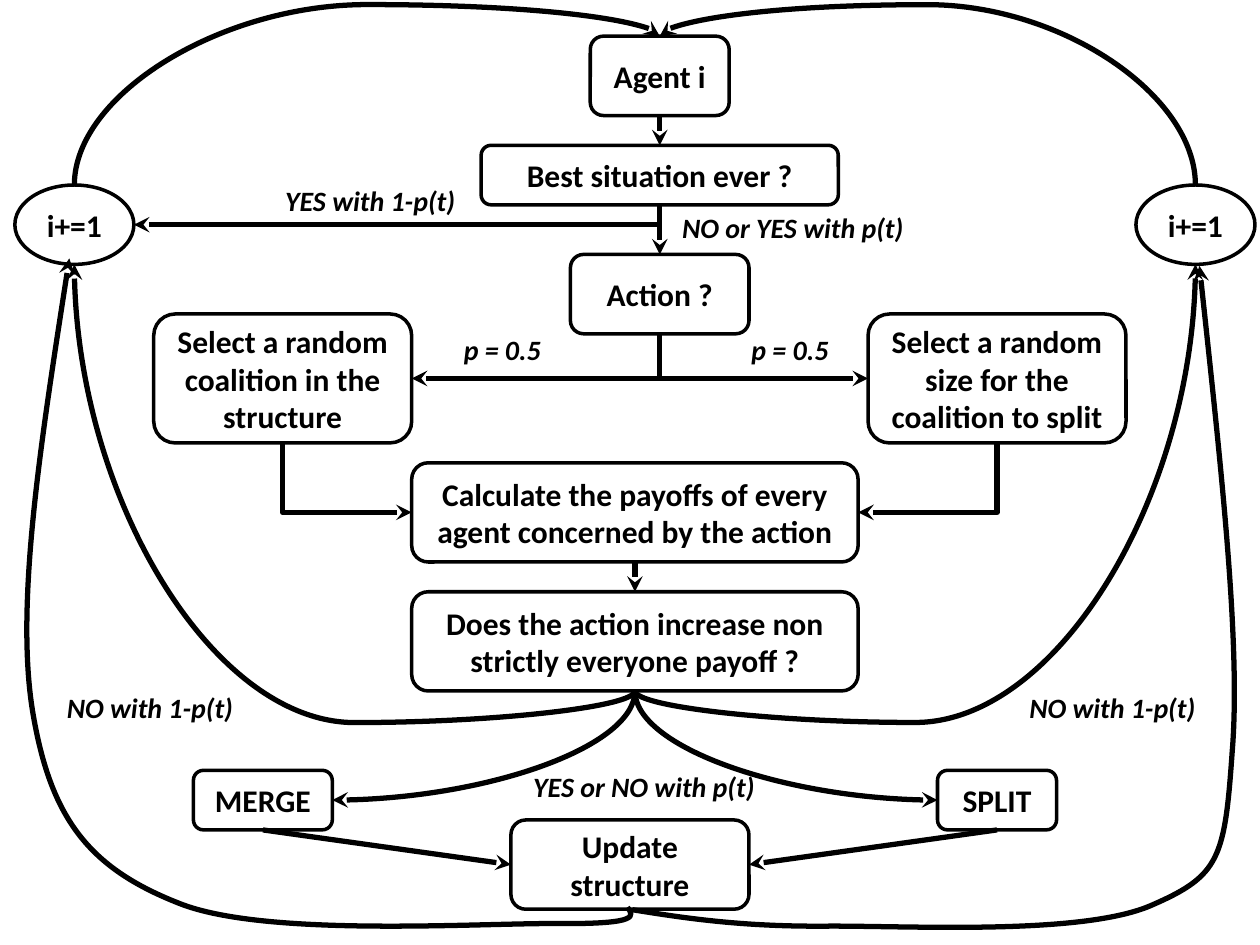
"""Build a flowchart of how agents merge or split coalitions."""
from dataclasses import dataclass
from typing import Optional

from pptx import Presentation
from pptx.dml.color import RGBColor
from pptx.enum.shapes import MSO_CONNECTOR, MSO_SHAPE
from pptx.enum.text import MSO_ANCHOR, PP_ALIGN
from pptx.oxml.ns import qn
from pptx.util import Cm, Pt

ROUNDED, OVAL = MSO_SHAPE.ROUNDED_RECTANGLE, MSO_SHAPE.OVAL
STRAIGHT, ELBOW, CURVE = MSO_CONNECTOR.STRAIGHT, MSO_CONNECTOR.ELBOW, MSO_CONNECTOR.CURVE
MIDDLE, CENTER, LEFT = MSO_ANCHOR.MIDDLE, PP_ALIGN.CENTER, PP_ALIGN.LEFT
Point = tuple[float, float]


@dataclass(frozen=True)
class Theme:
    ink: RGBColor = RGBColor(0, 0, 0)
    font: str = "Calibri"
    box_size: Pt = Pt(18)
    label_size: Pt = Pt(16)
    outline: Pt = Pt(2)
    arrow: Pt = Pt(3)


@dataclass(frozen=True)
class Box:
    text: str
    x: float
    y: float
    width: float
    height: float
    kind: int = ROUNDED

    def at(self, across: float, down: float) -> Point:
        return self.x + across * self.width, self.y + down * self.height

    @property
    def top(self) -> Point:
        return self.at(0.5, 0)

    @property
    def bottom(self) -> Point:
        return self.at(0.5, 1)

    @property
    def left(self) -> Point:
        return self.at(0, 0.5)

    @property
    def right(self) -> Point:
        return self.at(1, 0.5)


@dataclass(frozen=True)
class Label:
    text: str
    x: float
    y: float
    width: float


@dataclass(frozen=True)
class Arrow:
    start: Point
    end: Point
    kind: int = STRAIGHT
    bend: Optional[int] = None


@dataclass(frozen=True)
class Loop:
    points: tuple[Point, ...]
    arrow_end: str


THEME = Theme()
LABEL_HEIGHT = 0.94

AGENT = Box("Agent i", 11.9, 0.73, 2.8, 1.6)
BEST = Box("Best situation ever ?", 9.7, 2.93, 7.2, 1.2)
ACTION = Box("Action ?", 11.5, 5.13, 3.6, 1.6)
SIZE = Box("Select a random size for the coalition to split", 17.5, 6.33, 5.2, 2.6)
COALITION = Box("Select a random coalition in the structure", 3.1, 6.33, 5.2, 2.6)
PAYOFFS = Box("Calculate the payoffs of every agent concerned by the action", 8.3, 9.33, 9, 2)
INCREASE = Box("Does the action increase non strictly everyone payoff ?", 8.3, 11.93, 9, 2)
MERGE = Box("MERGE", 3.9, 15.53, 2.8, 1.2)
SPLIT = Box("SPLIT", 18.9, 15.53, 2.4, 1.2)
UPDATE = Box("Update structure", 10.3, 16.53, 4.8, 1.8)
NEXT_LEFT = Box("i+=1", 0.3, 3.73, 2.4, 1.6, OVAL)
NEXT_RIGHT = Box("i+=1", 22.9, 3.73, 2.4, 1.6, OVAL)
BOXES = (AGENT, BEST, ACTION, SIZE, COALITION, PAYOFFS, INCREASE, MERGE, SPLIT,
         UPDATE, NEXT_LEFT, NEXT_RIGHT)

ARROWS = (
    Arrow(AGENT.bottom, BEST.top),
    Arrow(BEST.bottom, ACTION.top),
    Arrow(BEST.bottom, NEXT_LEFT.right, ELBOW),
    Arrow(ACTION.bottom, COALITION.right, ELBOW),
    Arrow(ACTION.bottom, SIZE.left, ELBOW),
    Arrow(COALITION.bottom, PAYOFFS.left, ELBOW),
    Arrow(SIZE.bottom, PAYOFFS.right, ELBOW),
    Arrow(PAYOFFS.bottom, INCREASE.top),
    Arrow(INCREASE.bottom, MERGE.right, CURVE),
    Arrow(INCREASE.bottom, SPLIT.left, CURVE),
    Arrow(INCREASE.bottom, NEXT_LEFT.bottom, CURVE, -7400),
    Arrow(INCREASE.bottom, NEXT_RIGHT.bottom, CURVE, -7400),
    Arrow(NEXT_LEFT.top, AGENT.top, CURVE, 121200),
    Arrow(NEXT_RIGHT.top, AGENT.top, CURVE, 121200),
    Arrow(MERGE.bottom, UPDATE.left),
    Arrow(SPLIT.bottom, UPDATE.right),
)

LABELS = (
    Label("YES with 1-p(t)", 5.5, 3.58, 5.2),
    Label("NO or YES with p(t)", 13.5, 4.11, 6.4),
    Label("p = 0.5", 9.1, 6.58, 2.6),
    Label("p = 0.5", 14.9, 6.58, 2.6),
    Label("YES or NO with p(t)", 10.5, 15.39, 7),
    Label("NO with 1-p(t)", 1.1, 13.79, 4.4),
    Label("NO with 1-p(t)", 20.5, 13.79, 4.4),
)

LOOPS = (
    Loop(((1.4, 5.21), (0.86, 8.69), (0.3, 12.17), (0.66, 14.35), (1.02, 16.51),
          (1.8, 17.5), (3.61, 18.21), (5.38, 18.92), (9.86, 18.59), (11.38, 18.62),
          (12.88, 18.62), (12.78, 18.47), (12.65, 18.29)), "a:headEnd"),
    Loop(((12.75, 18.34), (13.87, 18.52), (15.01, 18.69), (16.76, 18.67), (18.52, 18.67),
          (21.89, 18.85), (23.24, 18.24), (24.59, 17.65), (24.69, 17.3), (24.84, 15.16),
          (25.02, 13), (24.59, 9.19), (24.18, 5.36)), "a:tailEnd"),
)


def write(shape, text: str, size: Pt, align: int, italic: bool = False) -> None:
    shape.text_frame.word_wrap = True
    paragraph = shape.text_frame.paragraphs[0]
    paragraph.text = text
    paragraph.alignment = align
    font = paragraph.font
    font.name, font.size, font.bold, font.italic = THEME.font, size, True, italic
    font.color.rgb = THEME.ink


def stroke(shape, width: Pt, arrow_end: Optional[str] = None) -> None:
    shape.line.color.rgb = THEME.ink
    shape.line.width = width
    if arrow_end:
        line = shape.line._get_or_add_ln()
        line.append(line.makeelement(qn(arrow_end), {"type": "stealth"}))


def draw_box(slide, box: Box) -> None:
    shape = slide.shapes.add_shape(
        box.kind, Cm(box.x), Cm(box.y), Cm(box.width), Cm(box.height))
    shape.shadow.inherit = False
    shape.fill.background()
    stroke(shape, THEME.outline)
    shape.text_frame.vertical_anchor = MIDDLE
    write(shape, box.text, THEME.box_size, CENTER)


def draw_label(slide, label: Label) -> None:
    shape = slide.shapes.add_textbox(
        Cm(label.x), Cm(label.y), Cm(label.width), Cm(LABEL_HEIGHT))
    write(shape, label.text, THEME.label_size, LEFT, italic=True)


def leave_vertically(connector, arrow: Arrow) -> None:
    """Turn the connector so that it leaves its start up or down."""
    (x1, y1), (x2, y2) = arrow.start, arrow.end
    width, height = abs(y2 - y1), abs(x2 - x1)
    connector.left, connector.top = Cm((x1 + x2 - width) / 2), Cm((y1 + y2 - height) / 2)
    connector.width, connector.height = Cm(width), Cm(height)
    rightward, upward = x2 > x1, y2 < y1
    properties = connector._element.spPr
    frame = properties.find(qn("a:xfrm"))
    frame.set("rot", str((270 if rightward and not upward else 90) * 60000))
    frame.set("flipH", str(int(rightward or upward)))
    frame.set("flipV", str(int(rightward and upward)))
    geometry = properties.find(qn("a:prstGeom"))
    if arrow.bend is None:
        geometry.set("prst", geometry.get("prst").replace("3", "2"))
    else:
        guides = geometry.find(qn("a:avLst"))
        guides.append(guides.makeelement(
            qn("a:gd"), {"name": "adj1", "fmla": f"val {arrow.bend}"}))


def draw_arrow(slide, arrow: Arrow) -> None:
    connector = slide.shapes.add_connector(
        arrow.kind, *(Cm(value) for value in arrow.start + arrow.end))
    if arrow.kind != STRAIGHT:
        leave_vertically(connector, arrow)
    stroke(connector, THEME.arrow, "a:tailEnd")
    properties = connector._element.spPr
    properties.append(properties.makeelement(qn("a:effectLst"), {}))


def draw_loop(slide, loop: Loop) -> None:
    """Draw a chain of cubic curves through every third point."""
    start, *others = [(Cm(x), Cm(y)) for x, y in loop.points]
    builder = slide.shapes.build_freeform(*start)
    builder.add_line_segments(others, close=False)
    shape = builder.convert_to_shape()
    segments = list(shape._element.iter(qn("a:lnTo")))
    for first, *controls in zip(segments[::3], segments[1::3], segments[2::3]):
        curve = first.makeelement(qn("a:cubicBezTo"), {})
        first.addprevious(curve)
        for segment in (first, *controls):
            curve.append(segment[0])
            segment.getparent().remove(segment)
    shape.shadow.inherit = False
    shape.fill.background()
    stroke(shape, THEME.arrow, loop.arrow_end)


def main() -> None:
    presentation = Presentation()
    presentation.slide_width, presentation.slide_height = Cm(25.4), Cm(19.05)
    slide = presentation.slides.add_slide(presentation.slide_layouts[6])
    for draw, items in ((draw_box, BOXES), (draw_arrow, ARROWS),
                        (draw_label, LABELS), (draw_loop, LOOPS)):
        for item in items:
            draw(slide, item)
    presentation.save("out.pptx")


if __name__ == "__main__":
    main()
